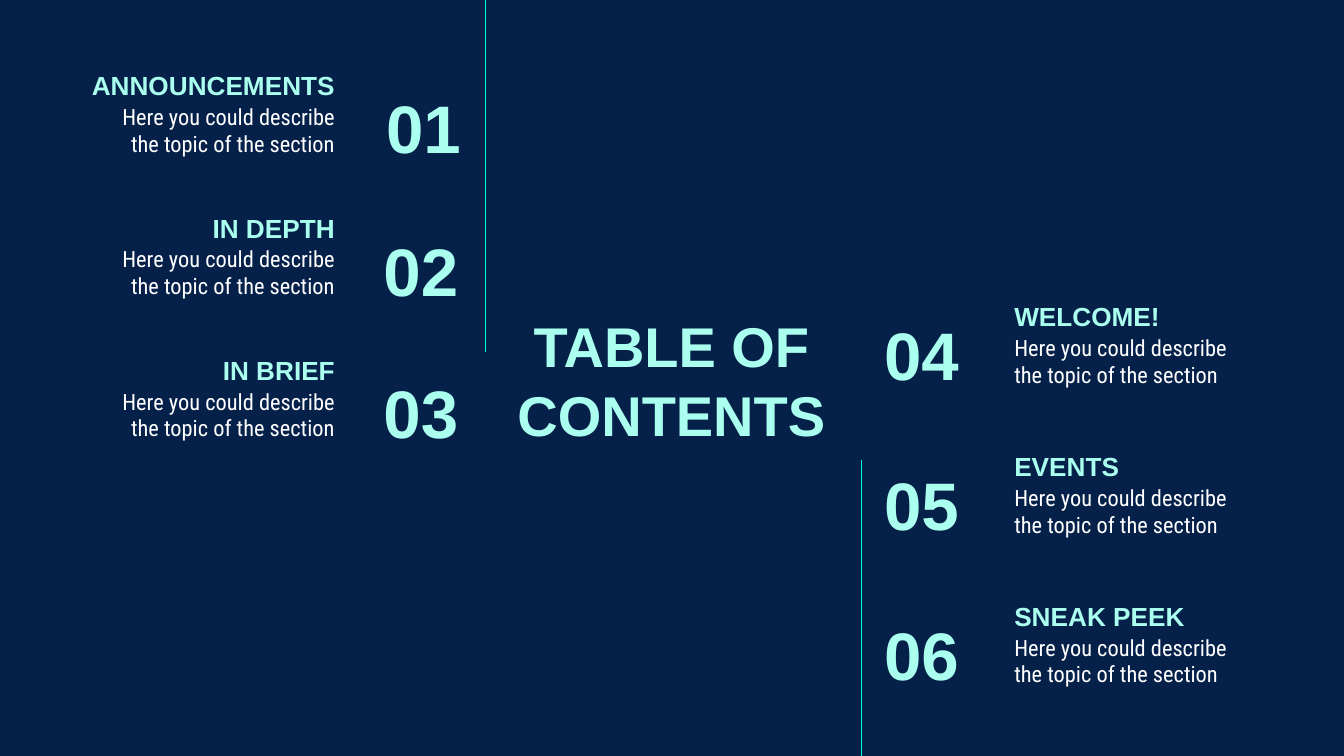
"""Build a table of contents slide with two columns of numbered sections."""
from dataclasses import dataclass

from lxml import etree
from pptx import Presentation
from pptx.dml.color import RGBColor
from pptx.enum import shapes, text
from pptx.oxml.ns import qn
from pptx.util import Cm, Pt

COLORS = {"back": "05214A", "accent": "AAFFEE", "body": "FFFFFF", "line": "00FFCD"}
STYLES = {
    "title": {"size": Pt(30), "name": "Arial", "bold": True},
    "number": {"size": Pt(36), "name": "Arial", "bold": True},
    "heading": {"size": Pt(14), "name": "Arial", "bold": True},
    "body": {"size": Pt(12), "name": "Roboto Condensed", "bold": False},
}
DESCRIPTION = "Here you could describe the topic of the section"
ROW_H = 1.6
BODY_DROP = 1.14
HEADING_W = 5.49
BODY_W = 4.65


@dataclass
class Column:
    """A stack of numbered sections, with lengths in centimetres."""
    headings: list[str]
    first: int
    top: float
    pitch: float
    number_lefts: list[float]
    number_w: float
    number_drop: float
    heading_left: float
    body_left: float
    align: text.PP_ALIGN


@dataclass
class Rule:
    """A vertical line, with lengths in centimetres."""
    x: float
    top: float
    bottom: float


COLUMNS = [
    Column(["ANNOUNCEMENTS", "IN DEPTH", "IN BRIEF"], 1, 0.56, 2.69,
           [5.89, 5.84, 5.84], 3.07, 1.04, 1.09, 1.93, text.PP_ALIGN.RIGHT),
    Column(["WELCOME!", "EVENTS", "SNEAK PEEK"], 4, 4.93, 2.83,
           [16.46] * 3, 2.97, 0.96, 18.92, 18.92, text.PP_ALIGN.LEFT),
]
RULES = [Rule(9.17, 0, 6.65), Rule(16.28, 8.69, 14.29)]


def write(sp, words: str, style: str, align: text.PP_ALIGN, anchor: text.MSO_ANCHOR) -> None:
    """Fill a shape with one formatted paragraph."""
    tf = sp.text_frame
    frame = {"word_wrap": True, "auto_size": text.MSO_AUTO_SIZE.NONE, "vertical_anchor": anchor}
    margins = {f"margin_{side}": Cm(0.25) for side in ("left", "top", "right", "bottom")}
    for key, value in (frame | margins).items():
        setattr(tf, key, value)
    p = tf.paragraphs[0]
    p.alignment = align
    r = p.add_run()
    r.text = words
    for key, value in STYLES[style].items():
        setattr(r.font, key, value)
    color = COLORS["body" if style == "body" else "accent"]
    r.font.color.rgb = RGBColor.from_string(color)


def add_title(s, words: str) -> None:
    """Place the slide title in its placeholder."""
    sp = s.shapes.title
    box = {"left": Cm(9.4), "top": Cm(5.84), "width": Cm(6.58), "height": Cm(2.62)}
    for key, value in box.items():
        setattr(sp, key, value)
    write(sp, words, "title", text.PP_ALIGN.CENTER, text.MSO_ANCHOR.MIDDLE)
    sp.text_frame.paragraphs[0].line_spacing = 1.04


def add_column(s, col: Column) -> None:
    """Draw the heading, description and number of each section."""
    for i, (heading, number_left) in enumerate(zip(col.headings, col.number_lefts)):
        y = col.top + i * col.pitch
        parts = [
            (heading, "heading", col.heading_left, y, HEADING_W, text.MSO_ANCHOR.BOTTOM),
            (DESCRIPTION, "body", col.body_left, y + BODY_DROP, BODY_W, text.MSO_ANCHOR.TOP),
            (f"{col.first + i:02}", "number", number_left, y + col.number_drop,
             col.number_w, text.MSO_ANCHOR.MIDDLE),
        ]
        for words, style, left, top, width, anchor in parts:
            sp = s.shapes.add_textbox(Cm(left), Cm(top), Cm(width), Cm(ROW_H))
            write(sp, words, style, col.align, anchor)


def add_rule(s, rule: Rule) -> None:
    """Draw a thin vertical line without a shadow."""
    x = Cm(rule.x)
    line = s.shapes.add_connector(shapes.MSO_CONNECTOR.STRAIGHT,
                                  x, Cm(rule.top), x, Cm(rule.bottom))
    line.line.width = Pt(0.75)
    line.line.color.rgb = RGBColor.from_string(COLORS["line"])
    etree.SubElement(line._element.spPr, qn("a:effectLst"))


def main() -> None:
    """Create and save the presentation."""
    prs = Presentation()
    prs.slide_width, prs.slide_height = Cm(25.4), Cm(14.29)
    s = prs.slides.add_slide(prs.slide_layouts[5])
    s.background.fill.solid()
    s.background.fill.fore_color.rgb = RGBColor.from_string(COLORS["back"])
    add_title(s, "TABLE OF CONTENTS")
    for col in COLUMNS:
        add_column(s, col)
    for rule in RULES:
        add_rule(s, rule)
    prs.save("out.pptx")


if __name__ == "__main__":
    main()
